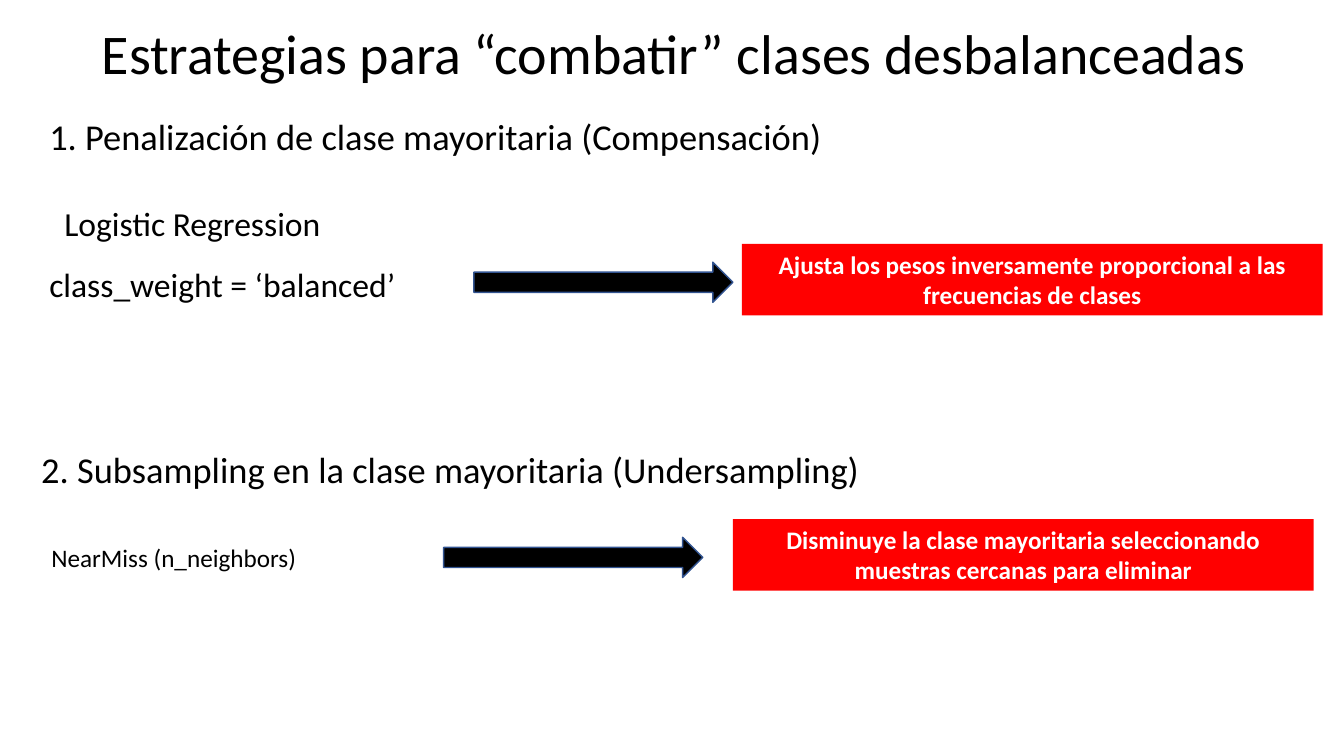
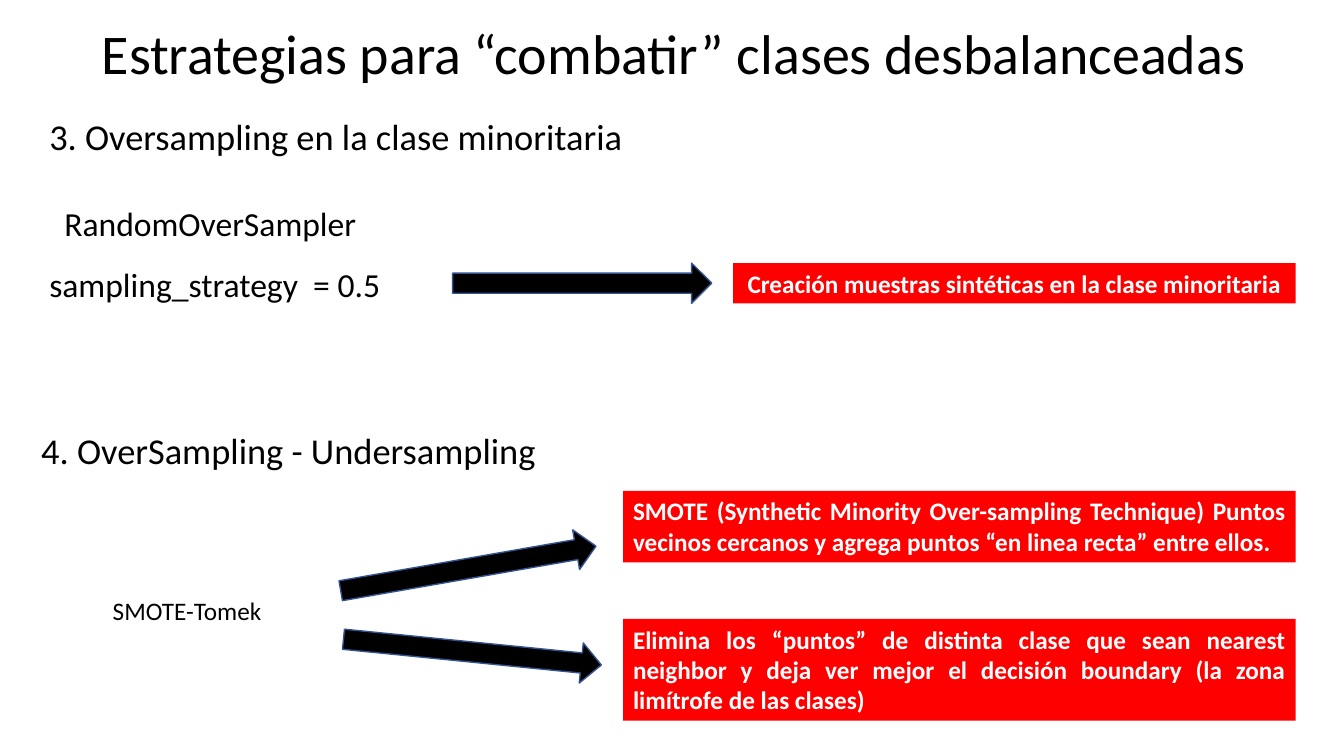
"""Two slides on strategies for imbalanced classes, laid out in percent of the slide."""
from pptx import Presentation
from pptx.dml.color import RGBColor
from pptx.enum.shapes import MSO_SHAPE
from pptx.enum.text import MSO_ANCHOR, PP_ALIGN
from pptx.util import Inches, Pt

RECT, ARROW = MSO_SHAPE.RECTANGLE, MSO_SHAPE.RIGHT_ARROW
TOP, MIDDLE = MSO_ANCHOR.TOP, MSO_ANCHOR.MIDDLE
LEFT, CENTER, JUSTIFY = PP_ALIGN.LEFT, PP_ALIGN.CENTER, PP_ALIGN.JUSTIFY

FONT = "Calibri"
BLACK, WHITE, RED, NAVY = "000000", "FFFFFF", "FF0000", "325491"
TITLE = "Estrategias para “combatir” clases desbalanceadas"

prs = Presentation()
prs.slide_width, prs.slide_height = Inches(13.33), Inches(7.5)
COL, ROW = prs.slide_width / 100, prs.slide_height / 100


def rgb(value):
    return RGBColor.from_string(value)


def write(sp, text, size=18, color=BLACK, bold=False, align=LEFT, anchor=TOP, spacing=1.0):
    tf = sp.text_frame
    tf.word_wrap = True
    tf.vertical_anchor = anchor
    p = tf.paragraphs[0]
    p.alignment = align
    p.line_spacing = spacing
    r = p.add_run()
    r.text = text
    r.font.name = FONT
    r.font.size = Pt(size)
    r.font.bold = bold
    r.font.color.rgb = rgb(color)


SLIDES = [
    {
        "labels": [
            (2.93, 14.4, 80, 7.2, 26, "1. Penalización de clase mayoritaria (Compensación)"),
            (4.05, 26.13, 48, 6.67, 24, "Logistic Regression"),
            (2.93, 34.27, 28, 6.67, 24, "class_weight = ‘balanced’"),
            (2.33, 58.53, 80, 7.2, 26, "2. Subsampling en la clase mayoritaria (Undersampling)"),
            (3.08, 71.07, 22, 5.33, 18, "NearMiss (n_neighbors)"),
        ],
        "arrows": [(35.26, 34.67, 0), (33.01, 71.07, 0)],
        "boxes": [
            (55.21, 32.27, 43.21, 9.47, CENTER,
             "Ajusta los pesos inversamente proporcional a las frecuencias de clases"),
            (54.54, 68.67, 43.21, 9.47, CENTER,
             "Disminuye la clase mayoritaria seleccionando muestras cercanas para eliminar"),
        ],
    },
    {
        "labels": [
            (2.93, 14.4, 80, 7.2, 26, "3. Oversampling en la clase minoritaria"),
            (4.05, 26.13, 48, 6.67, 24, "RandomOverSampler"),
            (2.93, 34.27, 28, 6.67, 24, "sampling_strategy  = 0.5"),
            (2.33, 56, 80, 7.2, 26, "4. OverSampling - Undersampling"),
            (7.65, 78.13, 22, 5.33, 18, "SMOTE-Tomek"),
        ],
        "arrows": [(33.68, 34.8, 0), (25.21, 72.53, 350.1), (25.51, 83.6, 5.7)],
        "boxes": [
            (54.54, 34.8, 41.86, 5.33, CENTER,
             "Creación muestras sintéticas en la clase minoritaria"),
            (46.36, 64.93, 50.04, 9.47, JUSTIFY,
             "SMOTE (Synthetic Minority Over-sampling Technique) Puntos vecinos "
             "cercanos y agrega puntos “en linea recta” entre ellos."),
            (46.36, 81.87, 50.04, 13.47, JUSTIFY,
             "Elimina los “puntos” de distinta clase que sean nearest neighbor y deja "
             "ver mejor el decisión boundary (la zona limítrofe de las clases)"),
        ],
    },
]

for content in SLIDES:
    s = prs.slides.add_slide(prs.slide_layouts[6])
    sp = s.shapes.add_textbox(int(6.83 * COL), int(2.8 * ROW), int(92.35 * COL), int(9.33 * ROW))
    write(sp, TITLE, size=40, anchor=MIDDLE, spacing=0.9)

    for x, y, w, h, size, text in content["labels"]:
        sp = s.shapes.add_textbox(int(x * COL), int(y * ROW), int(w * COL), int(h * ROW))
        write(sp, text, size=size)

    for x, y, angle in content["arrows"]:
        sp = s.shapes.add_shape(ARROW, int(x * COL), int(y * ROW), int(19.28 * COL), int(5.33 * ROW))
        sp.rotation = angle
        sp.shadow.inherit = False
        sp.fill.solid()
        sp.fill.fore_color.rgb = rgb(BLACK)
        sp.line.color.rgb = rgb(NAVY)
        sp.line.width = Pt(1)

    for x, y, w, h, align, text in content["boxes"]:
        sp = s.shapes.add_shape(RECT, int(x * COL), int(y * ROW), int(w * COL), int(h * ROW))
        sp.shadow.inherit = False
        sp.fill.solid()
        sp.fill.fore_color.rgb = rgb(RED)
        sp.line.fill.background()
        write(sp, text, color=WHITE, bold=True, align=align)

prs.save("out.pptx")
